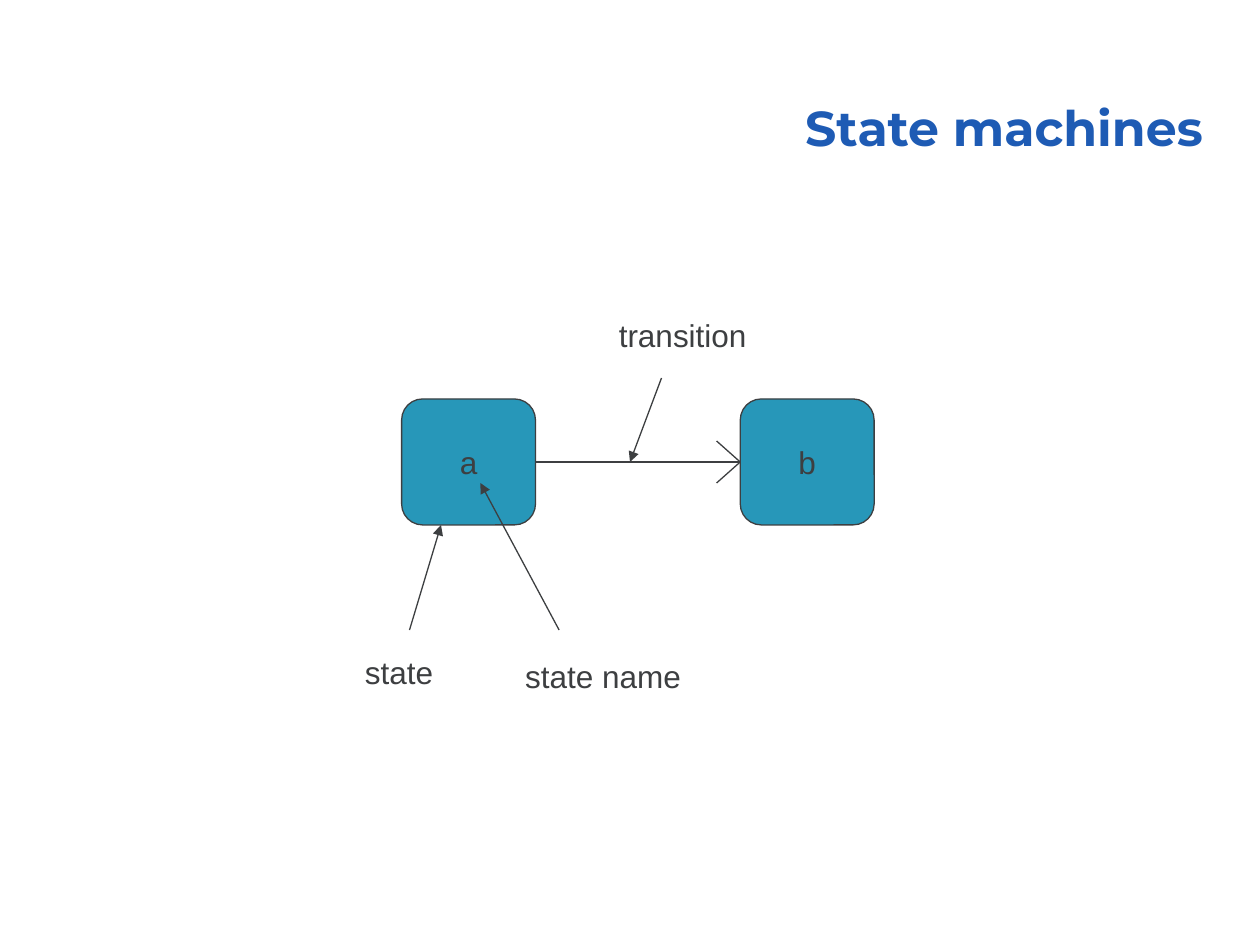
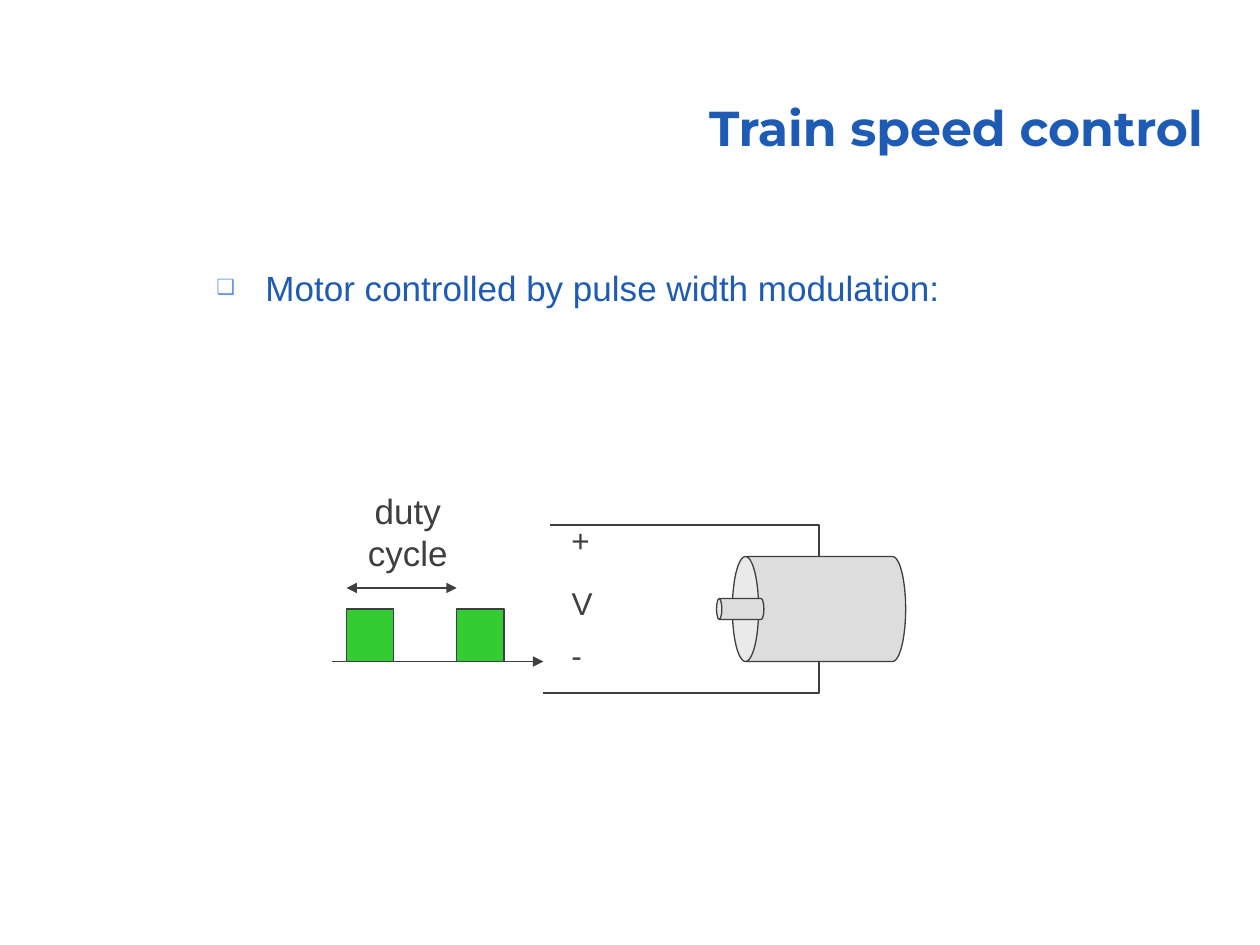
from lxml.etree import SubElement
from pptx import Presentation
from pptx.dml.color import RGBColor
from pptx.enum.shapes import MSO_CONNECTOR, MSO_SHAPE
from pptx.enum.text import MSO_ANCHOR, MSO_AUTO_SIZE, PP_ALIGN
from pptx.oxml.ns import qn
from pptx.util import Pt

BLUE = RGBColor(0x1E, 0x5B, 0xB4)
BULLET_BLUE = RGBColor(0x65, 0x99, 0xE5)
INK = RGBColor(0x3D, 0x3F, 0x41)
TEAL = RGBColor(0x27, 0x97, 0xB9)
GREEN = RGBColor(0x33, 0xCC, 0x33)
GREY = RGBColor(0xDD, 0xDD, 0xDD)
TITLE_FONT = "Montserrat"
BODY_FONT = "Arial"
LINE_WIDTH = Pt(0.75)
TITLE_ONLY, TITLE_AND_CONTENT = 5, 1


def place(shape, left, top, width, height):
    shape.left, shape.top = Pt(left), Pt(top)
    shape.width, shape.height = Pt(width), Pt(height)


def write(frame, text, size=18, color=INK, font=BODY_FONT, bold=False,
          align=PP_ALIGN.LEFT, anchor=MSO_ANCHOR.TOP, wrap=False, spacing=None):
    """Fill a text frame, one paragraph for each line of text."""
    frame.word_wrap = wrap
    frame.auto_size = MSO_AUTO_SIZE.NONE
    frame.vertical_anchor = anchor
    for index, line in enumerate(text.split("\n")):
        para = frame.paragraphs[0] if index == 0 else frame.add_paragraph()
        para.alignment = align
        para.space_before = Pt(0)
        if spacing:
            para.line_spacing = spacing
        span = para.add_run()
        span.text = line
        span.font.name = font
        span.font.size = Pt(size)
        span.font.bold = bold
        span.font.color.rgb = color


def add_page(deck, layout, title):
    page = deck.slides.add_slide(deck.slide_layouts[layout])
    place(page.shapes.title, 211.5, 38, 483, 55.5)
    write(page.shapes.title.text_frame, title, size=28, color=BLUE, font=TITLE_FONT,
          bold=True, align=PP_ALIGN.RIGHT, anchor=MSO_ANCHOR.BOTTOM, wrap=True, spacing=0.9)
    return page


def add_bullet(para, char, color, percent, indent):
    properties = para._p.get_or_add_pPr()
    properties.set("marL", str(indent))
    properties.set("indent", str(-indent))
    bullet_color = SubElement(properties, qn("a:buClr"))
    SubElement(bullet_color, qn("a:srgbClr"), val=str(color))
    SubElement(properties, qn("a:buSzPct"), val=str(percent * 1000))
    SubElement(properties, qn("a:buChar"), char=char)


def add_label(page, text, left, top, width, height=29, **style):
    box = page.shapes.add_textbox(Pt(left), Pt(top), Pt(width), Pt(height))
    write(box.text_frame, text, **style)


def add_block(page, kind, left, top, width, height, fill, rotation=0):
    block = page.shapes.add_shape(kind, Pt(left), Pt(top), Pt(width), Pt(height))
    block.shadow.inherit = False
    block.fill.solid()
    block.fill.fore_color.rgb = fill
    block.line.color.rgb = INK
    block.line.width = LINE_WIDTH
    block.rotation = rotation
    return block


def add_line(page, start, end, kind=MSO_CONNECTOR.STRAIGHT, head=False, tail=False):
    line = page.shapes.add_connector(kind, *(Pt(value) for value in (*start, *end)))
    line.line.color.rgb = INK
    line.line.width = LINE_WIDTH
    outline = line.line._get_or_add_ln()
    for tag, wanted in (("a:headEnd", head), ("a:tailEnd", tail)):
        if wanted:
            SubElement(outline, qn(tag), type="triangle")
    SubElement(line.element.spPr, qn("a:effectLst"))
    return line


def add_wire(page, start, end):
    """Draw a wire with one corner: across first, then up or down."""
    wire = add_line(page, start, end, kind=MSO_CONNECTOR.ELBOW)
    wire.element.spPr.find(qn("a:prstGeom")).set("prst", "bentConnector2")


def add_state(page, name, left):
    state = add_block(page, MSO_SHAPE.ROUNDED_RECTANGLE, left, 228, 76.5, 72, TEAL)
    write(state.text_frame, name, align=PP_ALIGN.CENTER, anchor=MSO_ANCHOR.MIDDLE)
    return state


def build_state_machines(deck):
    page = add_page(deck, TITLE_ONLY, "State machines")

    # Two states and the transition between them
    state_a = add_state(page, "a", 229.5)
    state_b = add_state(page, "b", 423)
    transition = add_line(page, (306, 264), (423, 264))
    transition.begin_connect(state_a, 3)
    transition.end_connect(state_b, 1)
    for barb_y in (252, 276):
        add_line(page, (423, 264), (409.5, barb_y))

    # Labels with pointers
    for text, left, top, width, start, end in (
        ("state", 201.5, 369.5, 53, (234, 360), (252, 300)),
        ("state name", 293, 372, 103, (319.5, 360), (274.5, 276)),
        ("transition", 346.5, 177, 87, (378, 216), (360, 264)),
    ):
        add_line(page, start, end, tail=True)
        add_label(page, text, left, top, width)


def build_train_speed_control(deck):
    page = add_page(deck, TITLE_AND_CONTENT, "Train speed control")

    # Bullet list
    body = page.placeholders[1]
    place(body, 116.5, 148.5, 483, 97)
    write(body.text_frame, "Motor controlled by pulse width modulation:",
          size=20, color=BLUE, align=PP_ALIGN.JUSTIFY, wrap=True)
    add_bullet(body.text_frame.paragraphs[0], "❑", BULLET_BLUE, 60, Pt(28))

    # Motor body, shaft and wires
    add_block(page, MSO_SHAPE.CAN, 438, 298.5, 60, 99, GREY, rotation=270)
    add_block(page, MSO_SHAPE.CAN, 417, 334.5, 12, 27, GREY, rotation=270)
    add_wire(page, (314.5, 300), (468, 317.5))
    add_wire(page, (310.5, 396), (468, 378))

    # Voltage across the motor
    for text, top, width in (("+", 294, 24.5), ("V", 330, 26), ("-", 360, 20)):
        add_label(page, text, 319.5, top, width)

    # Pulse train and duty cycle
    pulse_lefts = (198, 261)
    add_line(page, (189.5, 378), (310.5, 378), tail=True)
    for left in pulse_lefts:
        add_block(page, MSO_SHAPE.RECTANGLE, left, 348, 27, 30, GREEN)
    add_line(page, (pulse_lefts[0], 336), (pulse_lefts[1], 336), head=True, tail=True)
    add_label(page, "duty\ncycle", 203, 276, 60, 55.5, size=20, align=PP_ALIGN.CENTER)


def main():
    deck = Presentation()
    deck.slide_width, deck.slide_height = Pt(720), Pt(540)
    build_state_machines(deck)
    build_train_speed_control(deck)
    deck.save("out.pptx")


if __name__ == "__main__":
    main()
